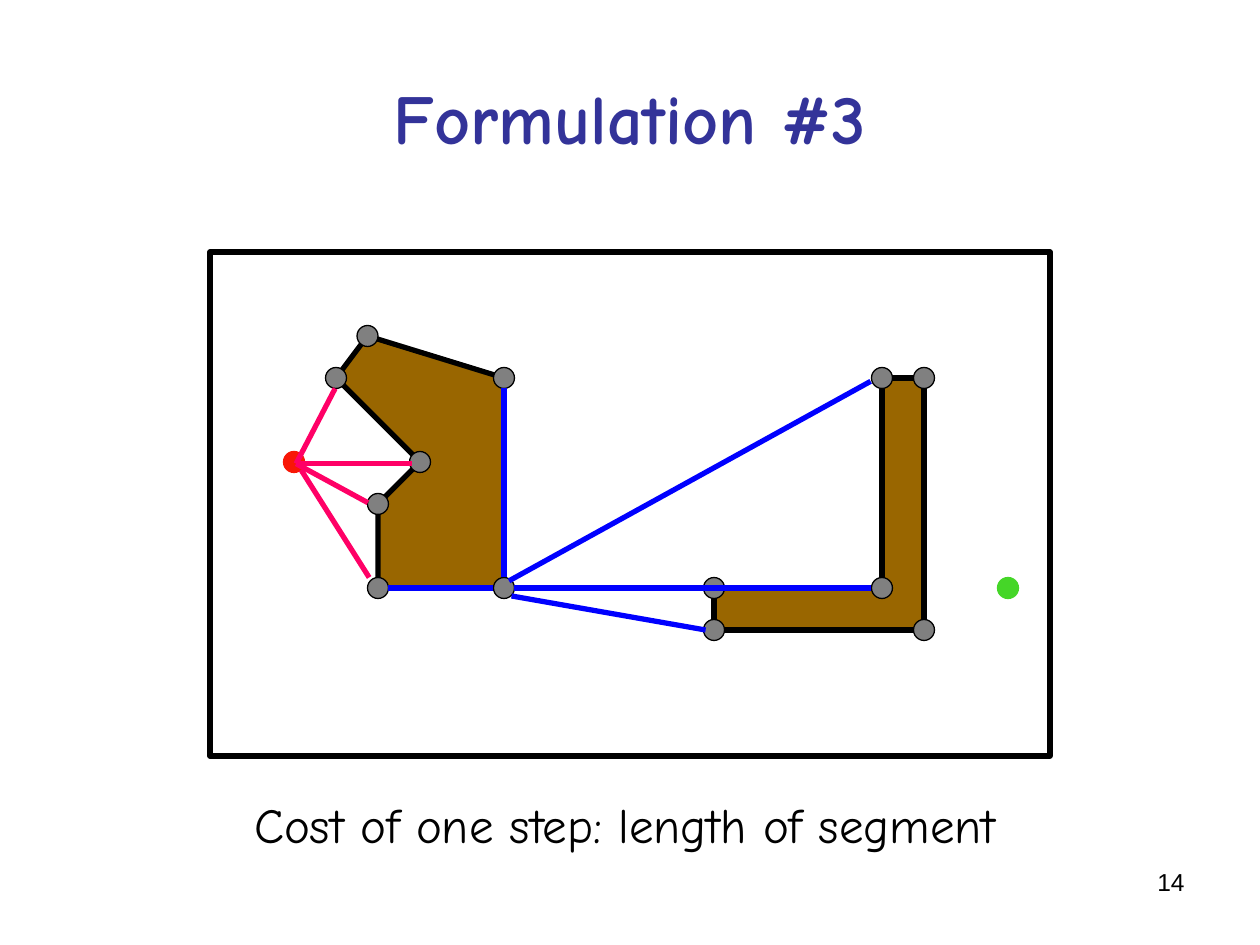
from dataclasses import dataclass

from lxml import etree
from pptx import Presentation
from pptx.dml.color import RGBColor
from pptx.enum.shapes import MSO_CONNECTOR, MSO_SHAPE
from pptx.enum.text import MSO_ANCHOR, PP_ALIGN
from pptx.oxml.ns import qn
from pptx.util import Inches, Pt

STRAIGHT = MSO_CONNECTOR.STRAIGHT
RECTANGLE = MSO_SHAPE.RECTANGLE
OVAL = MSO_SHAPE.OVAL
MIDDLE = MSO_ANCHOR.MIDDLE
TOP = MSO_ANCHOR.TOP
LEFT = PP_ALIGN.LEFT
CENTER = PP_ALIGN.CENTER
RIGHT = PP_ALIGN.RIGHT

TITLE_ONLY = 5
CELL = Inches(1) / 3
DOT = 0.5


@dataclass(frozen=True)
class Theme:
    heading: str = "333399"
    ink: str = "000000"
    obstacle: str = "996600"
    vertex: str = "808080"
    start: str = "F81706"
    goal: str = "45D628"
    step: str = "0000FF"
    first_step: str = "FF0066"
    font: str = "Comic Neue"
    number_font: str = "Arial"
    title_size: int = 40
    caption_size: int = 28
    number_size: int = 14
    thick: float = 3
    thin: float = 0.75


THEME = Theme()

NOTCHED_OBSTACLE = [(8, 9), (10, 11), (9, 12), (9, 14), (12, 14), (12, 9), (8.75, 8)]
CORNER_OBSTACLE = [(17, 14), (17, 15), (22, 15), (22, 9), (21, 9), (21, 14)]
START = (7, 11)
GOAL = (24, 14)

STEPS = [
    ((12.25, 14), (16.75, 14)),
    ((12.12, 13.83), (20.73, 9.08)),
    ((12.18, 14.19), (16.8, 15)),
    ((11.75, 14), (9.25, 14)),
    ((12, 13.75), (12, 9.25)),
    ((12.25, 14), (20.75, 14)),
]
FIRST_STEPS = [
    ((7.05, 11.04), (8.76, 11.97)),
    ((7.05, 11.04), (9.8, 11.04)),
    ((7.05, 11.04), (7.98, 9.25)),
    ((7.17, 11.19), (8.79, 13.75)),
]


def grid(*lengths):
    return [round(length * CELL) for length in lengths]


def color(value):
    return RGBColor.from_string(value)


def style_shape(shape, fill, line, width):
    shape.shadow.inherit = False
    if fill:
        shape.fill.solid()
        shape.fill.fore_color.rgb = color(fill)
    else:
        shape.fill.background()
    shape.line.color.rgb = color(line)
    shape.line.width = Pt(width)


def write(box, text, font, size, ink, align, anchor=TOP, bold=False):
    frame = box.text_frame
    frame.text = text
    frame.word_wrap = True
    frame.vertical_anchor = anchor
    para = frame.paragraphs[0]
    para.alignment = align
    span = para.runs[0]
    span.font.name = font
    span.font.size = Pt(size)
    span.font.bold = bold
    span.font.color.rgb = color(ink)


def add_title(page, text):
    title = page.shapes.title
    title.left, title.top = Inches(0.5), Inches(0.3)
    title.width, title.height = Inches(9), Inches(1.25)
    write(title, text, THEME.font, THEME.title_size, THEME.heading, CENTER, MIDDLE, True)


def add_text(page, bounds, text, font, size, align):
    box = page.shapes.add_textbox(*map(Inches, bounds))
    write(box, text, font, size, THEME.ink, align)


def add_frame(page):
    frame = page.shapes.add_shape(RECTANGLE, *grid(5, 6, 20, 12))
    style_shape(frame, None, THEME.ink, THEME.thick)


def add_obstacle(page, corners):
    points = [grid(*corner) for corner in corners]
    builder = page.shapes.build_freeform(*points[0])
    builder.add_line_segments(points[1:], close=True)
    style_shape(builder.convert_to_shape(), THEME.obstacle, THEME.ink, THEME.thick)


def add_dot(page, center, fill, line):
    column, row = center
    bounds = grid(column - DOT / 2, row - DOT / 2, DOT, DOT)
    style_shape(page.shapes.add_shape(OVAL, *bounds), fill, line, THEME.thin)


def add_segment(page, begin, end, ink):
    segment = page.shapes.add_connector(STRAIGHT, *grid(*begin, *end))
    segment.line.color.rgb = color(ink)
    segment.line.width = Pt(THEME.thick)
    etree.SubElement(segment._element.spPr, qn("a:effectLst"))


def main():
    deck = Presentation()
    deck.slide_width, deck.slide_height = Inches(10), Inches(7.5)
    page = deck.slides.add_slide(deck.slide_layouts[TITLE_ONLY])

    add_text(page, (7.17, 6.83, 2.33, 0.52), "14",
             THEME.number_font, THEME.number_size, RIGHT)
    add_title(page, "Formulation #3")
    add_frame(page)
    for corners in (NOTCHED_OBSTACLE, CORNER_OBSTACLE):
        add_obstacle(page, corners)
    add_dot(page, START, THEME.start, THEME.start)
    add_dot(page, GOAL, THEME.goal, THEME.goal)
    for vertex in NOTCHED_OBSTACLE + CORNER_OBSTACLE:
        add_dot(page, vertex, THEME.vertex, THEME.ink)
    for segments, ink in ((STEPS, THEME.step), (FIRST_STEPS, THEME.first_step)):
        for begin, end in segments:
            add_segment(page, begin, end, ink)
    add_text(page, (1.92, 6.26, 6.7, 0.57), "Cost of one step: length of segment",
             THEME.font, THEME.caption_size, LEFT)

    deck.save("out.pptx")


if __name__ == "__main__":
    main()
